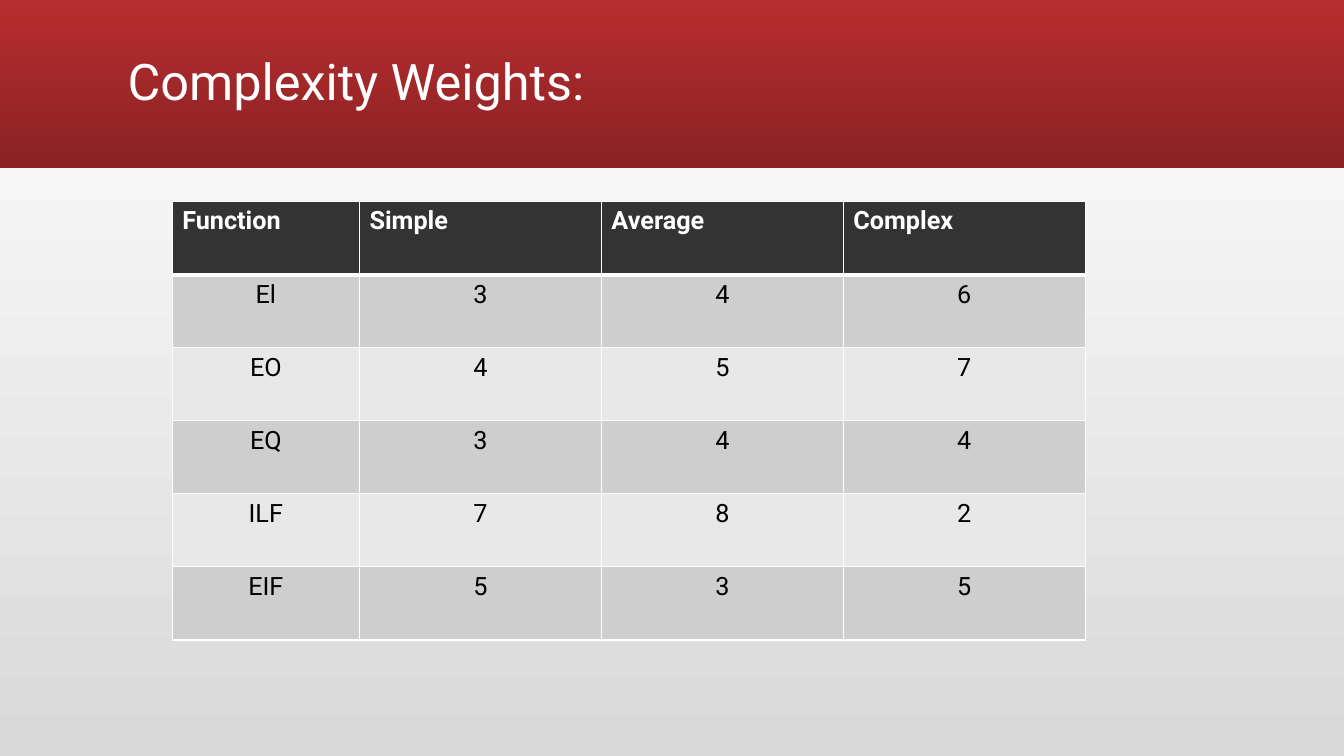
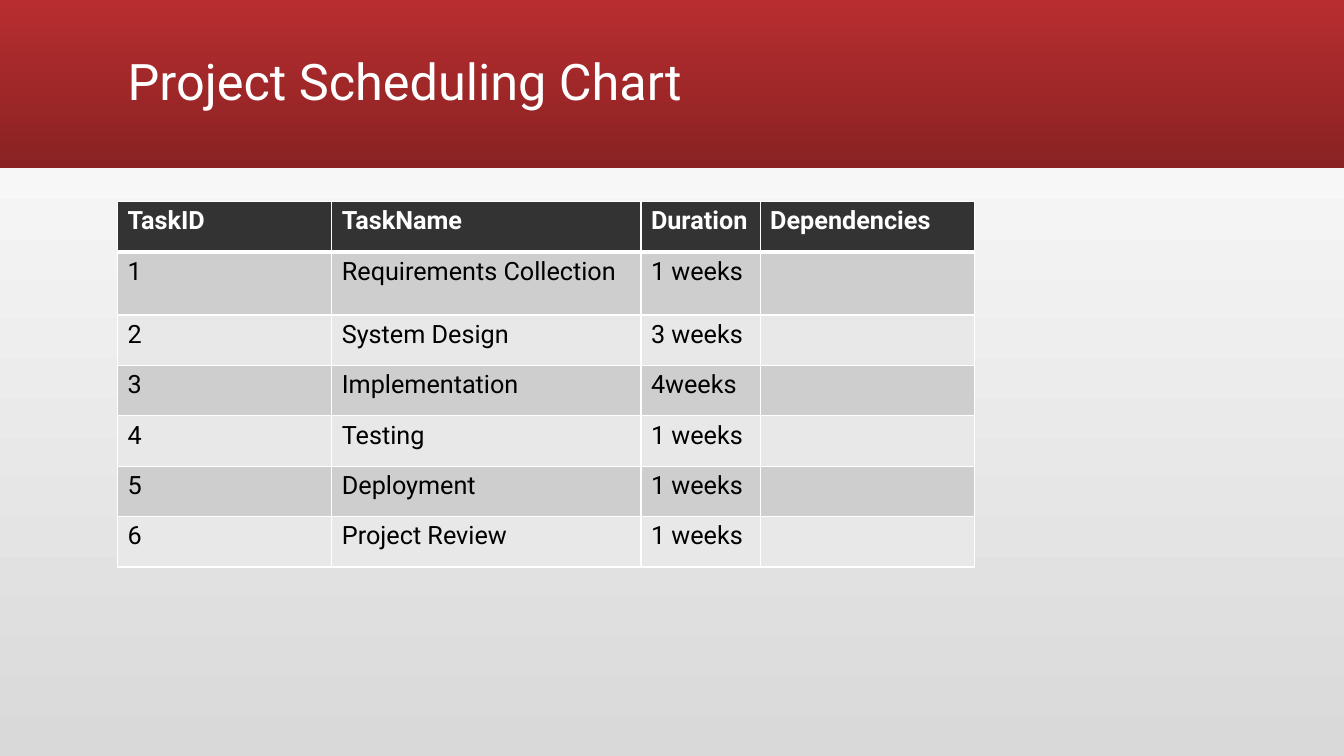
from lxml import etree
from pptx import Presentation
from pptx import util as u
from pptx.dml.color import RGBColor
from pptx.enum import shapes, text
from pptx.oxml import ns

# Grid: 160 columns by 90 rows on a 13.33 x 7.5 inch slide
COLUMNS, ROWS = 160, 90
WIDTH, HEIGHT = u.Inches(13.33), u.Inches(7.5)
TABLE_TOP = 24


def rgb(value):
    return RGBColor.from_string(value)


def across(columns):
    return round(WIDTH * columns / COLUMNS)


def down(rows):
    return round(HEIGHT * rows / ROWS)


def apply(target, values):
    for name, value in values.items():
        setattr(target, name, value)


def box(left, top, width, height):
    return {"left": across(left), "top": down(top),
            "width": across(width), "height": down(height)}


class Deck:
    FONT = "Roboto"
    WHITE, BLACK = "FFFFFF", "000000"
    BACKGROUND = ("FFFFFF", "D9D9D9")
    BAND = ("B82D2F", "8A2223")
    HEADER, STRIPES = "333333", ("CECECE", "E8E8E8")
    TITLE_FONT = {"name": FONT, "size": u.Pt(36), "bold": False}
    HEADER_FONT = {"name": FONT, "size": u.Pt(18), "bold": True}
    BODY_FONT = {"name": FONT, "size": u.Pt(18), "bold": False}
    THIN, THICK = 1, 3

    def __init__(self):
        self.deck = Presentation()
        apply(self.deck, {"slide_width": WIDTH, "slide_height": HEIGHT})
        self.layout = self.deck.slide_layouts.get_by_name("Title Only")
        self.slide = None
        # Shared background and title position
        self.shade(self.layout.background.fill, self.BACKGROUND)
        title, *footers = self.layout.placeholders
        apply(title, box(14, 1.3, 132, 17.4))
        for footer in footers:
            self.layout.shapes.element.remove(footer.element)

    def shade(self, fill, colours):
        """Gradient from top to bottom."""
        fill.gradient()
        fill.gradient_angle = 270
        for stop, colour in zip(fill.gradient_stops, colours):
            stop.color.rgb = rgb(colour)

    def add_slide(self, heading):
        self.slide = self.deck.slides.add_slide(self.layout)
        if len(self.deck.slides) == 1:
            self.add_band()
        self.add_title(heading)

    def add_band(self):
        """Red band, kept on the layout so that every slide shows it."""
        band = self.slide.shapes.add_shape(
            shapes.MSO_SHAPE.RECTANGLE, 0, 0, WIDTH, down(20))
        self.shade(band.fill, self.BAND)
        band.line.fill.background()
        band.shadow.inherit = False
        self.layout.shapes.element.insert(2, band.element)

    def add_title(self, heading):
        frame = self.slide.shapes.title.text_frame
        frame.text = heading
        apply(frame, {"vertical_anchor": text.MSO_ANCHOR.MIDDLE,
                      "auto_size": text.MSO_AUTO_SIZE.NONE, "word_wrap": True})
        line = frame.paragraphs[0]
        apply(line, {"alignment": text.PP_ALIGN.LEFT, "line_spacing": 0.9})
        self.set_font(line.runs[0].font, self.TITLE_FONT, self.WHITE)

    def set_font(self, font, values, colour):
        apply(font, values)
        font.color.rgb = rgb(colour)

    def add_table(self, left, widths, heights, records, alignment):
        frame = self.slide.shapes.add_table(
            len(heights), len(widths),
            **box(left, TABLE_TOP, sum(widths), sum(heights)))
        table = frame.table
        for column, width in zip(table.columns, widths):
            column.width = across(width)
        for row, height in zip(table.rows, heights):
            row.height = down(height)
        for r, record in enumerate(records):
            for c, wording in enumerate(record):
                self.fill_cell(table.cell(r, c), r, wording, alignment)

    def fill_cell(self, cell, r, wording, alignment):
        header = r == 0
        self.add_borders(cell,
                         top=self.THICK if r == 1 else self.THIN,
                         bottom=self.THICK if header else self.THIN)
        cell.fill.solid()
        cell.fill.fore_color.rgb = rgb(
            self.HEADER if header else self.STRIPES[(r - 1) % 2])
        cell.text = wording
        line = cell.text_frame.paragraphs[0]
        line.alignment = text.PP_ALIGN.LEFT if header else alignment
        self.set_font(line.font,
                      self.HEADER_FONT if header else self.BODY_FONT,
                      self.WHITE if header else self.BLACK)
        for run in line.runs:
            self.set_font(run.font,
                          self.HEADER_FONT if header else self.BODY_FONT,
                          self.WHITE if header else self.BLACK)

    def add_borders(self, cell, top, bottom):
        properties = cell._tc.get_or_add_tcPr()
        weights = {"L": self.THIN, "R": self.THIN, "T": top, "B": bottom}
        for side, weight in weights.items():
            border = etree.SubElement(properties, ns.qn(f"a:ln{side}"),
                                      w=str(u.Pt(weight)))
            solid = etree.SubElement(border, ns.qn("a:solidFill"))
            etree.SubElement(solid, ns.qn("a:srgbClr"), val=self.WHITE)


def main():
    deck = Deck()

    # Weights of each function type
    deck.add_slide("Complexity Weights:")
    weights = [
        ("Function", "Simple", "Average", "Complex"),
        ("El", "3", "4", "6"),
        ("EO", "4", "5", "7"),
        ("EQ", "3", "4", "4"),
        ("ILF", "7", "8", "2"),
        ("EIF", "5", "3", "5"),
    ]
    deck.add_table(20.5, [22.3] + [28.8] * 3, [8.7] * len(weights), weights,
                   text.PP_ALIGN.CENTER)

    # Tasks and their durations
    deck.add_slide("Project Scheduling Chart")
    tasks = [
        ("TaskID", "TaskName", "Duration", "Dependencies"),
        ("1", "Requirements Collection", "1 weeks", ""),
        ("2", "System Design", "3 weeks", ""),
        ("3", "Implementation", "4weeks", ""),
        ("4", "Testing", "1 weeks", ""),
        ("5", "Deployment", "1 weeks", ""),
        ("6", "Project Review", "1 weeks", ""),
    ]
    deck.add_table(14, [25.5, 36.8, 14.2, 25.5], [6, 7.5] + [6] * 5, tasks,
                   text.PP_ALIGN.LEFT)

    deck.deck.save("out.pptx")


if __name__ == "__main__":
    main()
